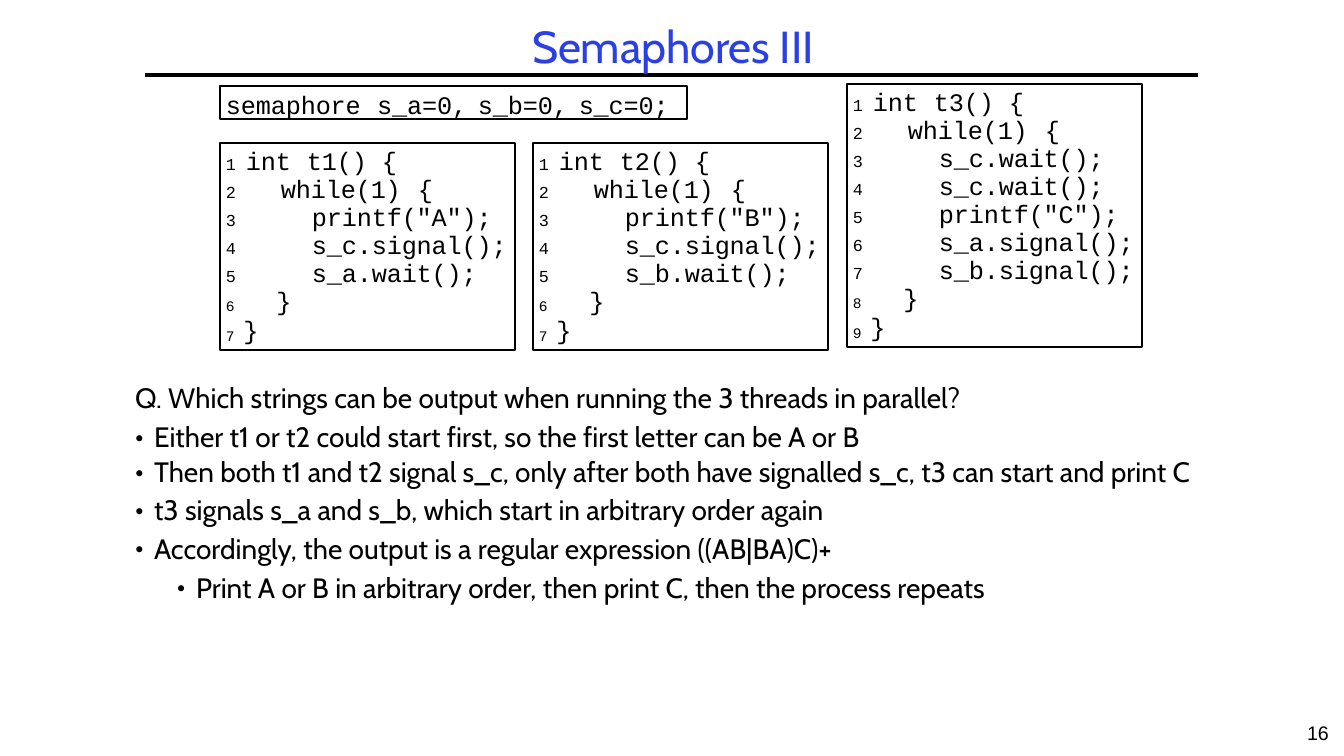
import pptx
import pptx.util
import pptx.dml.color
import pptx.enum.shapes
import pptx.enum.text
import pptx.oxml.ns
import lxml.etree
from dataclasses import dataclass

TITLE = "Semaphores III"
PAGE = "16"
DECLARATION = "semaphore\ts_a=0,\ts_b=0,\ts_c=0;"
THREADS = [
    ("t1", (220, 143, 295, 207), ['printf("A");', "s_c.signal();", "s_a.wait();"]),
    ("t2", (533, 143, 295, 207), ['printf("B");', "s_c.signal();", "s_b.wait();"]),
    ("t3", (847, 84, 295, 263), ["s_c.wait();", "s_c.wait();", 'printf("C");',
                                 "s_a.signal();", "s_b.signal();"]),
]
QUESTION = "Q. Which strings can be output when running the 3 threads in parallel?"
ANSWERS = [
    ("Either t1 or t2 could start first, so the first letter can be A or B",
     dict(before=3.7)),
    ("Then both t1 and t2 signal s_c, only after both have signalled s_c, t3 can start and print C",
     dict(before=4.7, leading=20)),
    ("t3 signals s_a and s_b, which start in arbitrary order again", dict(before=3.1)),
    ("Accordingly, the output is a regular expression ((AB|BA)C)+", dict(before=3.7)),
    ("Print A or B in arbitrary order, then print C, then the process repeats",
     dict(before=3.8, left=62, level=1)),
]


@dataclass(frozen=True)
class Theme:
    ink: str = "000000"
    accent: str = "2A40E2"
    prose: str = "Cabin"
    mono: str = "Courier New"
    plain: str = "Arial"
    title: int = 32
    body: int = 20
    code: int = 18
    page: int = 14
    rule: int = 3
    border: int = 1


THEME = Theme()
WIDTH, HEIGHT = 1344, 756
SCALE = 12192000 / WIDTH
NUMBER_LEFT = 6
CENTER = pptx.enum.text.PP_ALIGN.CENTER


def px(length):
    return round(length * SCALE)


def rgb(color):
    return pptx.dml.color.RGBColor.from_string(color)


def child(parent, tag, **attributes):
    return lxml.etree.SubElement(parent, pptx.oxml.ns.qn(tag), attributes)


def write(frame, text, *, size, font, color=THEME.ink, align=None, left=0, hang=0,
          before=0, leading=None, marker=None, tabs=(), level=0, tracking=0, lowered=""):
    paragraph = frame.paragraphs[0]
    if paragraph.runs:
        paragraph = frame.add_paragraph()
    paragraph.level = level
    paragraph.alignment = align or pptx.enum.text.PP_ALIGN.LEFT
    paragraph.space_before = pptx.util.Pt(before)
    if leading:
        paragraph.line_spacing = pptx.util.Pt(leading)
    properties = paragraph._p.get_or_add_pPr()
    properties.set("marL", str(px(left)))
    properties.set("indent", str(-px(hang)))
    if marker == "number":
        child(properties, "a:buSzPct", val="67000")
        child(properties, "a:buFont", typeface=font)
        child(properties, "a:buAutoNum", type="arabicPlain")
    elif marker:
        child(properties, "a:buFont", typeface=font)
        child(properties, "a:buChar", char=marker)
    else:
        child(properties, "a:buNone")
    if tabs:
        stops = child(properties, "a:tabLst")
        for stop in tabs:
            child(stops, "a:tab", pos=str(px(stop)), algn="l")
    for part, baseline in ((lowered, -7000), (text, 0)):
        if part:
            run = paragraph.add_run()
            run.text = part
            run.font.size = pptx.util.Pt(size)
            run.font.name = font
            run.font.color.rgb = rgb(color)
            run._r.rPr.set("spc", str(tracking))
            run._r.rPr.set("baseline", str(baseline))


def text_area(slide, box, inset=0, border=False):
    place = [px(side) for side in box]
    if border:
        area = slide.shapes.add_shape(pptx.enum.shapes.MSO_SHAPE.RECTANGLE, *place)
        area.shadow.inherit = False
        area.fill.background()
        area.line.color.rgb = rgb(THEME.ink)
        area.line.width = pptx.util.Pt(THEME.border)
    else:
        area = slide.shapes.add_textbox(*place)
    frame = area.text_frame
    frame.word_wrap = True
    frame.vertical_anchor = pptx.enum.text.MSO_ANCHOR.TOP
    frame.margin_left = frame.margin_right = frame.margin_bottom = 0
    frame.margin_top = px(inset)
    return frame


def add_thread(slide, name, box, calls):
    listing = text_area(slide, box, inset=3, border=True)
    code = dict(size=THEME.code, font=THEME.mono, tracking=-10)
    numbered = [(f"int\t{name}()\t{{", 26, (26, 87, 162)),
                ("while(1)\t{", 61, (61, 198))]
    numbered += [(call, 92, (92,)) for call in calls]
    for index, (line, left, tabs) in enumerate(numbered):
        first = index == 0
        write(listing, line, left=left, hang=left - NUMBER_LEFT, tabs=tabs,
              marker="number", before=2.1 if first else 0,
              leading=20.8 if first else 20, **code)
    count = len(numbered)
    write(listing, "}", lowered=f"{count + 1}\t", left=NUMBER_LEFT, tabs=(61,),
          leading=20, **code)
    write(listing, "}", lowered=f"{count + 2} ", left=NUMBER_LEFT, leading=20.8, **code)


def main():
    deck = pptx.Presentation()
    deck.slide_width, deck.slide_height = px(WIDTH), px(HEIGHT)
    slide = deck.slides.add_slide(deck.slide_layouts[6])

    rule = slide.shapes.add_connector(pptx.enum.shapes.MSO_CONNECTOR.STRAIGHT,
                                      px(145), px(75), px(1198), px(75))
    rule.line.color.rgb = rgb(THEME.ink)
    rule.line.width = pptx.util.Pt(THEME.rule)
    child(rule._element.spPr, "a:effectLst")

    discussion = text_area(slide, (134, 375, 1076, 233), inset=6)
    prose = dict(size=THEME.body, font=THEME.prose)
    write(discussion, QUESTION, left=1, before=4.7, **prose)
    for answer, layout in ANSWERS:
        write(discussion, answer, **{**prose, "left": 20, "hang": 19, "marker": "•", **layout})

    for name, box, calls in THREADS:
        add_thread(slide, name, box, calls)

    declaration = text_area(slide, (220, 86, 467, 33), inset=3, border=True)
    write(declaration, DECLARATION, size=THEME.code, font=THEME.mono, left=NUMBER_LEFT,
          before=2.1, tabs=(157, 263, 369), tracking=-10)

    heading = text_area(slide, (145, 18, 1055, 55), inset=1)
    heading.vertical_anchor = pptx.enum.text.MSO_ANCHOR.MIDDLE
    write(heading, TITLE, size=THEME.title, font=THEME.prose, color=THEME.accent,
          align=CENTER, left=1, before=1, tracking=-10)

    page = text_area(slide, (1293, 716, 50, 40), inset=5)
    write(page, PAGE, size=THEME.page, font=THEME.plain, align=CENTER)

    deck.save("out.pptx")


if __name__ == "__main__":
    main()
